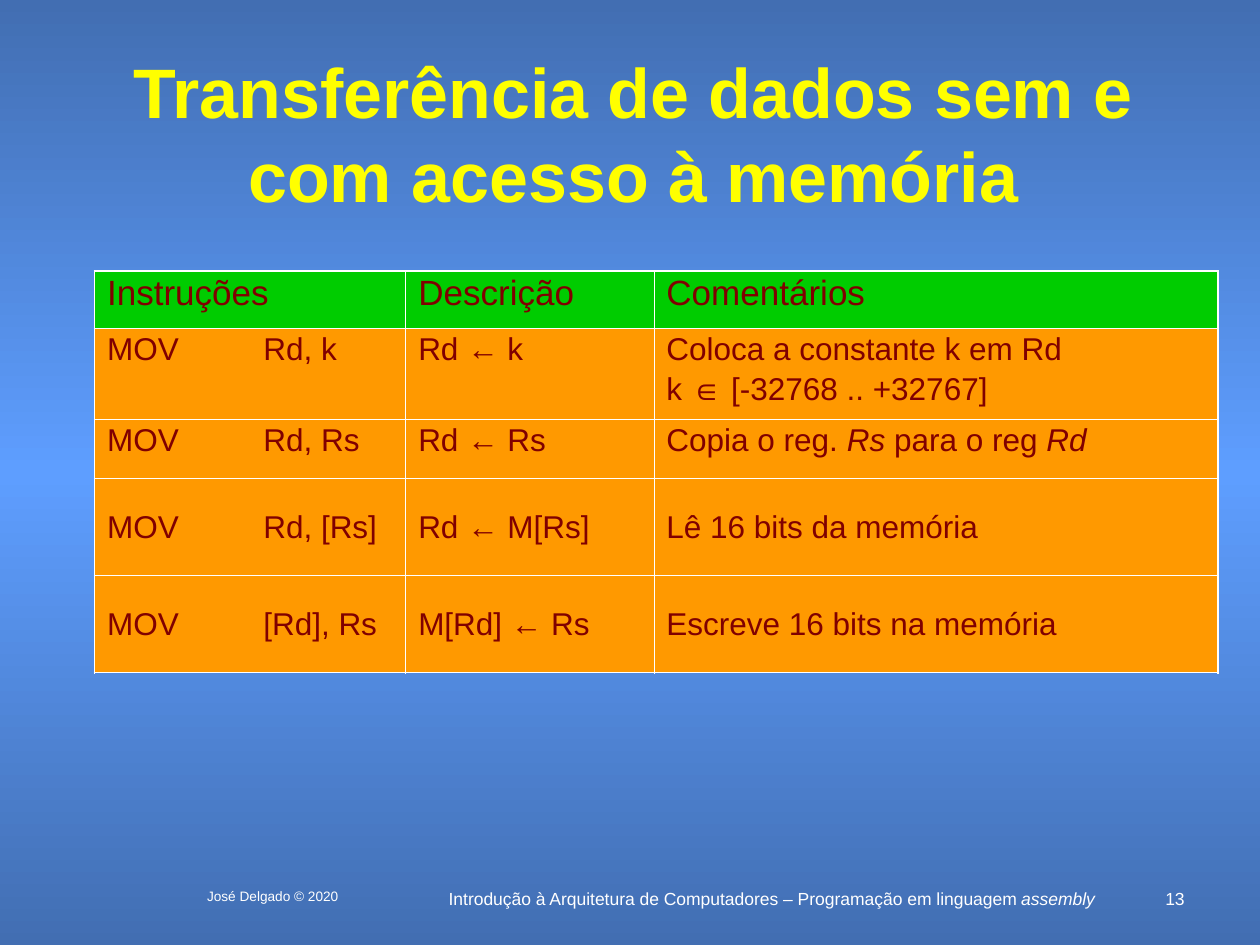
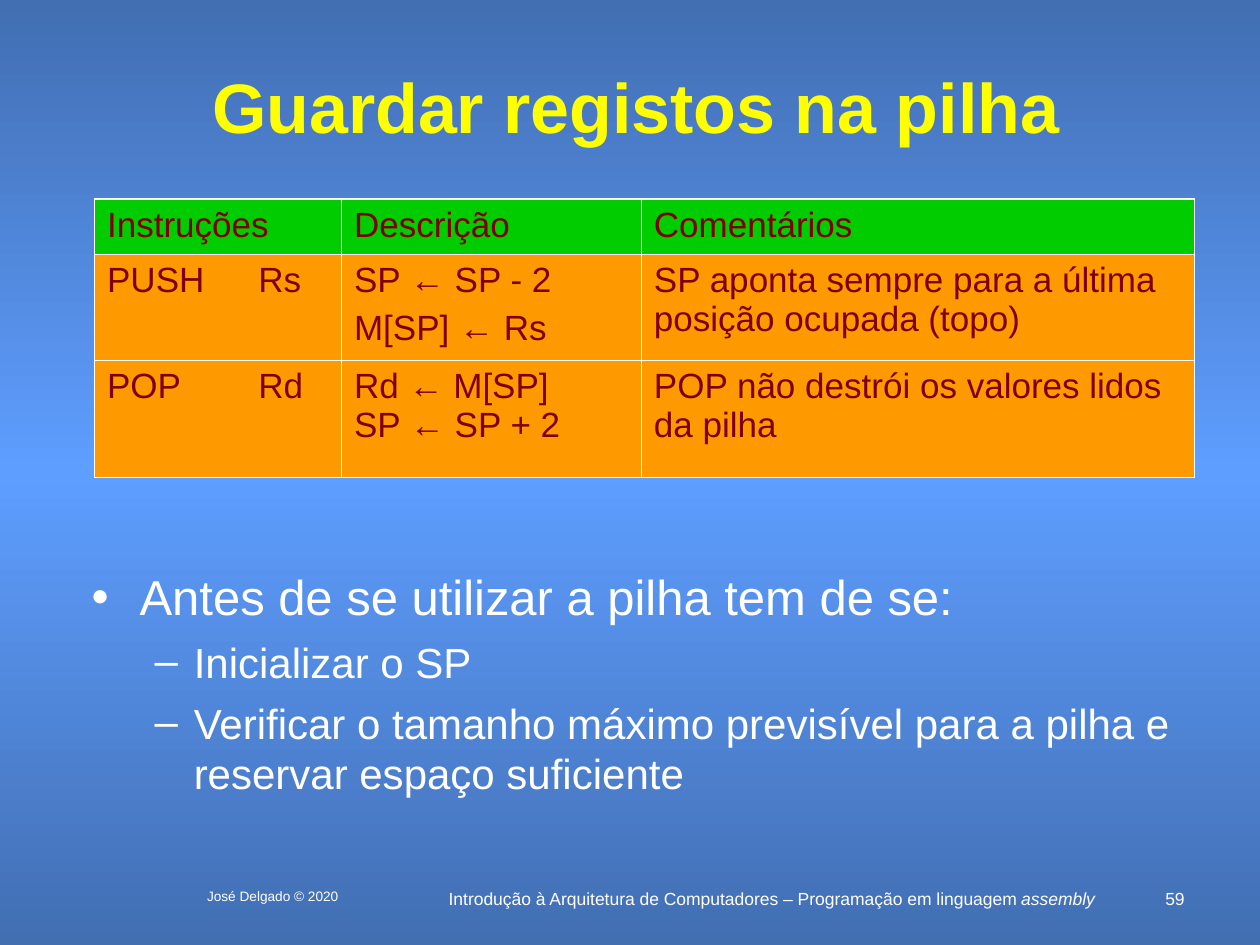
from dataclasses import dataclass

from lxml import etree
from pptx import Presentation
from pptx.dml.color import RGBColor
from pptx.enum.text import MSO_ANCHOR, PP_ALIGN
from pptx.oxml.ns import qn
from pptx.util import Inches, Pt

CENTER, RIGHT = PP_ALIGN.CENTER, PP_ALIGN.RIGHT
TOP, MIDDLE = MSO_ANCHOR.TOP, MSO_ANCHOR.MIDDLE

FONT = "Arial"
WHITE = RGBColor(0xFF, 0xFF, 0xFF)
YELLOW = RGBColor(0xFF, 0xFF, 0x00)
MAROON = RGBColor(0x80, 0x00, 0x00)
GREEN = RGBColor(0x00, 0xCC, 0x00)
ORANGE = RGBColor(0xFF, 0x99, 0x00)
DEEP_BLUE = RGBColor(0x42, 0x6E, 0xB2)
SKY_BLUE = RGBColor(0x5E, 0x9E, 0xFF)
GRADIENT = [(0, DEEP_BLUE), (50, SKY_BLUE), (100, DEEP_BLUE)]

OUTER_LINE, INNER_LINE = 1.08, 0.45
NO_TABLE_STYLE = "{2D5ABB26-0587-4C30-8999-92F81FD0307C}"


@dataclass
class RowStyle:
    size: float
    gap: float = 0
    line_spacing: float = 1.0
    anchor: int = TOP
    fill: RGBColor = ORANGE


# Text between asterisks is italic; a line feed starts a new paragraph.
HEADINGS = ["Instruções", "", "Descrição", "Comentários"]
TIGHT = RowStyle(18, gap=4.5, line_spacing=0.9)
CENTRED = RowStyle(18, anchor=MIDDLE)

FOOTERS = [  # text, box, size, alignment
    ("Introdução à Arquitetura de Computadores – Programação em linguagem *assembly*",
     (3.45, 7, 5.35, 0.25), 10, CENTER),
    ("José Delgado © 2020", (1.33, 7, 1.67, 0.25), 7.8, CENTER),
]
NUMBER_BOX = (9.08, 7, 0.42, 0.17)

SLIDES = [
    {
        "number": 13,
        "title": "Transferência de dados sem e com acesso à memória",
        "title_box": (0.71, 0.33, 8.63, 1.45),
        "table_at": (0.75, 2.15),
        "columns": [1.24, 1.23, 1.97, 4.48],
        "rows": [
            (0.46, RowStyle(20, line_spacing=0.9, fill=GREEN), HEADINGS),
            (0.72, TIGHT, ["MOV", "Rd, k", "Rd ← k",
                           "Coloca a constante k em Rd\nk ∈ [-32768 .. +32767]"]),
            (0.47, TIGHT, ["MOV", "Rd, Rs", "Rd ← Rs",
                           "Copia o reg. *Rs* para o reg *Rd*"]),
            (0.77, CENTRED, ["MOV", "Rd, [Rs]", "Rd ← M[Rs]", "Lê 16 bits da memória"]),
            (0.77, CENTRED, ["MOV", "[Rd], Rs", "M[Rd] ← Rs",
                             "Escreve 16 bits na memória"]),
        ],
    },
    {
        "number": 59,
        "title": "Guardar registos na pilha",
        "title_box": (0.52, 0.5, 9.05, 0.67),
        "table_at": (0.75, 1.58),
        "columns": [1.2, 0.76, 2.38, 4.39],
        "rows": [
            (0.44, RowStyle(20, fill=GREEN), HEADINGS),
            (0.84, RowStyle(20, gap=5), ["PUSH", "Rs", "SP ← SP - 2\nM[SP] ← Rs",
                                         "SP aponta sempre para a última posição ocupada (topo)"]),
            (0.93, RowStyle(20), ["POP", "Rd", "Rd ← M[SP]\nSP ← SP + 2",
                                  "POP não destrói os valores lidos da pilha"]),
        ],
        "bullet_box": (0.63, 4.45, 8.86, 2.13),
        "bullets": [
            (0, "Antes de se utilizar a pilha tem de se:"),
            (1, "Inicializar o SP"),
            (1, "Verificar o tamanho máximo previsível para a pilha e "
                "reservar espaço suficiente"),
        ],
    },
]
# mark, left margin, hanging indent, size, space before
BULLET_LEVELS = [("•", 0.38, 0.38, 28, 7), ("–", 0.81, 0.31, 24, 6)]


def add_runs(paragraph, text, size, color, bold=False):
    for index, part in enumerate(text.split("*")):
        if part:
            run = paragraph.add_run()
            run.text = part
            run.font.name, run.font.size = FONT, Pt(size)
            run.font.color.rgb = color
            run.font.bold, run.font.italic = bold, index % 2 == 1


def next_paragraph(frame, index):
    return frame.add_paragraph() if index else frame.paragraphs[0]


def add_text_frame(slide, box, anchor=TOP):
    frame = slide.shapes.add_textbox(*map(Inches, box)).text_frame
    frame.word_wrap = True
    frame.vertical_anchor = anchor
    return frame


def add_line(slide, text, box, size, alignment, color=WHITE, bold=False, anchor=TOP):
    paragraph = add_text_frame(slide, box, anchor).paragraphs[0]
    paragraph.alignment = alignment
    add_runs(paragraph, text, size, color, bold)


def add_solid(parent, color):
    fill = etree.SubElement(parent, qn("a:solidFill"))
    etree.SubElement(fill, qn("a:srgbClr"), val=str(color))


def paint_background(slide):
    fill = slide.background.fill
    fill.gradient()
    fill.gradient_angle = 90
    stops = next(slide.element.iter(qn("a:gsLst")))
    for stop in list(stops):
        stops.remove(stop)
    for percent, color in GRADIENT:
        stop = etree.SubElement(stops, qn("a:gs"), pos=str(percent * 1000))
        etree.SubElement(stop, qn("a:srgbClr"), val=str(color))


def set_borders(cell, row, column, row_count, column_count):
    """Heavier frame, thin grid, no line between mnemonic and operands."""
    def weight(at_edge):
        return OUTER_LINE if at_edge else INNER_LINE

    borders = {
        "L": 0 if column == 1 else weight(column == 0),
        "R": 0 if column == 0 and row else weight(column == column_count - 1),
        "T": weight(row == 0),
        "B": weight(row == row_count - 1),
    }
    properties = cell._tc.get_or_add_tcPr()
    for side, width in borders.items():
        if width:
            line = etree.SubElement(properties, qn("a:ln" + side), w=str(Pt(width)))
            add_solid(line, WHITE)


def add_instruction_table(slide, position, columns, rows):
    size = sum(columns), sum(height for height, _, _ in rows)
    frame = slide.shapes.add_table(len(rows), len(columns), *map(Inches, position + size))
    table = frame.table
    table.first_row = table.horz_banding = False
    next(table._tbl.iter(qn("a:tableStyleId"))).text = NO_TABLE_STYLE
    for column, width in zip(table.columns, columns):
        column.width = Inches(width)
    table.cell(0, 0).merge(table.cell(0, 1))
    for r, (height, style, texts) in enumerate(rows):
        table.rows[r].height = Inches(height)
        for c, text in enumerate(texts):
            cell = table.cell(r, c)
            set_borders(cell, r, c, len(rows), len(columns))
            cell.fill.solid()
            cell.fill.fore_color.rgb = style.fill
            cell.vertical_anchor = style.anchor
            for index, line in enumerate(text.split("\n")):
                paragraph = next_paragraph(cell.text_frame, index)
                paragraph.line_spacing = style.line_spacing
                paragraph.space_before = Pt(style.gap if index else 0)
                add_runs(paragraph, line, style.size, MAROON)


def add_bullets(slide, box, bullets):
    frame = add_text_frame(slide, box)
    for index, (level, text) in enumerate(bullets):
        mark, margin, hanging, size, gap = BULLET_LEVELS[level]
        paragraph = next_paragraph(frame, index)
        paragraph.level = level
        properties = paragraph._p.get_or_add_pPr()
        properties.set("marL", str(Inches(margin)))
        properties.set("indent", str(-Inches(hanging)))
        bullet_color = etree.SubElement(properties, qn("a:buClr"))
        etree.SubElement(bullet_color, qn("a:srgbClr"), val=str(WHITE))
        etree.SubElement(properties, qn("a:buFont"), typeface=FONT)
        etree.SubElement(properties, qn("a:buChar"), char=mark)
        paragraph.space_before = Pt(gap if index else 0)
        add_runs(paragraph, text, size, WHITE)


def build_slide(presentation, content):
    slide = presentation.slides.add_slide(presentation.slide_layouts[6])
    paint_background(slide)
    for text, box, size, alignment in FOOTERS:
        add_line(slide, text, box, size, alignment)
    add_line(slide, str(content["number"]), NUMBER_BOX, 10, RIGHT)
    add_line(slide, content["title"], content["title_box"], 40, CENTER,
             YELLOW, bold=True, anchor=MIDDLE)
    add_instruction_table(slide, content["table_at"], content["columns"], content["rows"])
    if "bullets" in content:
        add_bullets(slide, content["bullet_box"], content["bullets"])


def main():
    presentation = Presentation()
    presentation.slide_width, presentation.slide_height = Inches(10), Inches(7.5)
    for content in SLIDES:
        build_slide(presentation, content)
    presentation.save("out.pptx")


if __name__ == "__main__":
    main()
